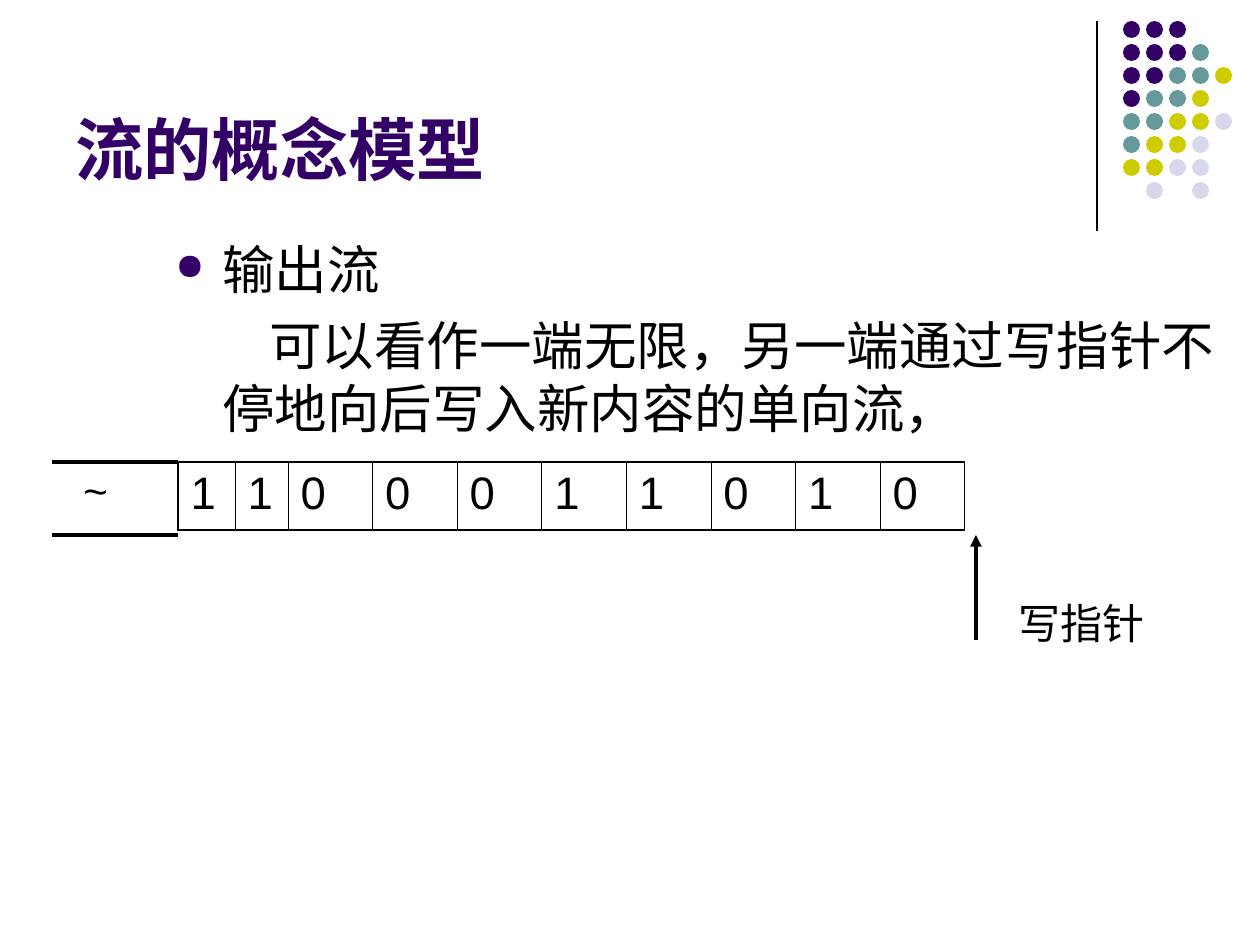
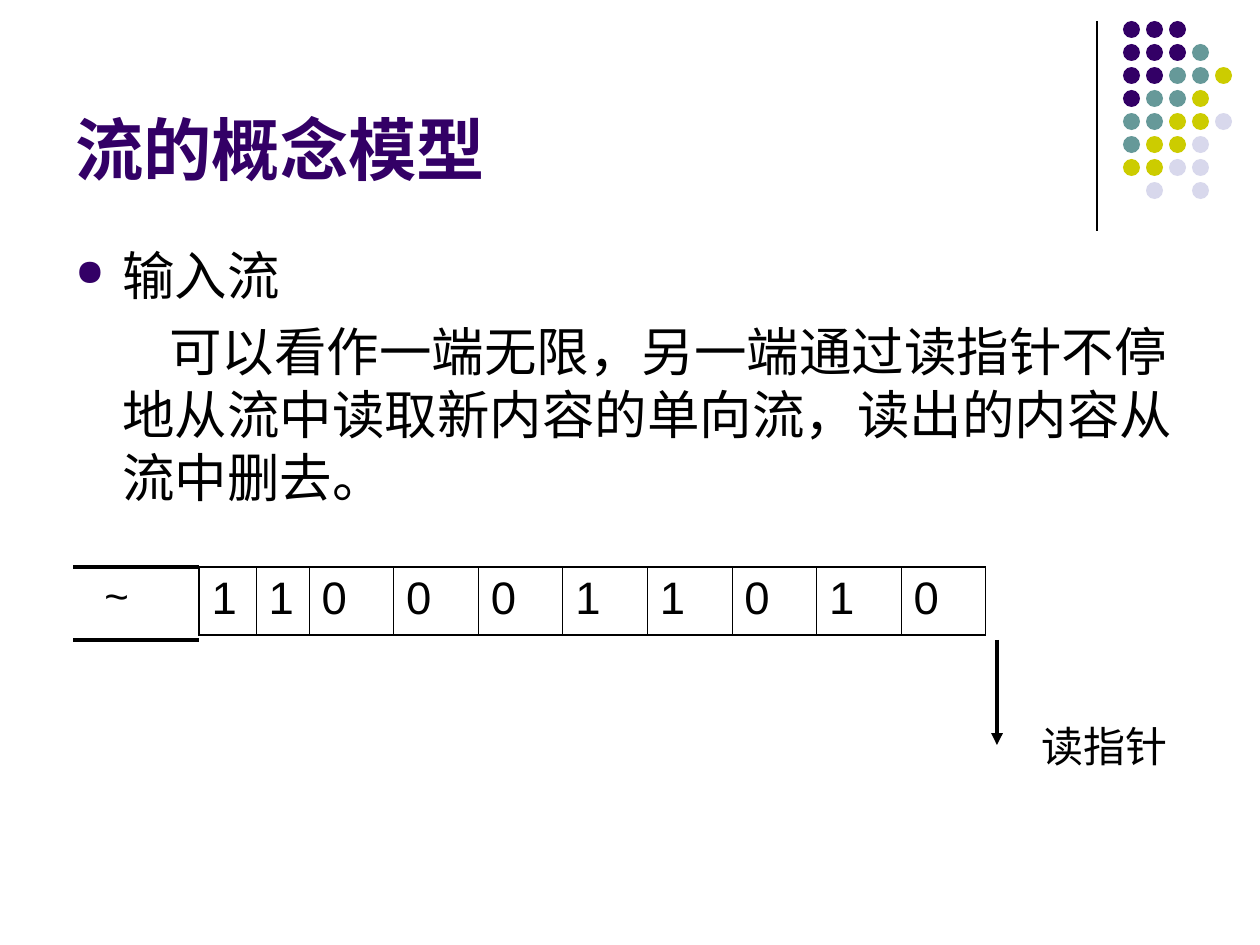
from dataclasses import dataclass

from lxml.etree import SubElement
from pptx import Presentation
from pptx.dml.color import RGBColor
from pptx.enum.shapes import MSO_CONNECTOR as Connector, MSO_SHAPE as Shape
from pptx.enum.text import MSO_ANCHOR as Anchor, MSO_AUTO_SIZE as AutoSize
from pptx.oxml.ns import qn
from pptx.util import Emu, Pt

EMU_PER_PX = 914400 / 126


@dataclass(frozen=True)
class Theme:
    font: str = "Arial"
    purple: str = "330066"
    teal: str = "669999"
    olive: str = "CCCC00"
    lilac: str = "D8D8EC"
    black: str = "000000"
    title_size: int = 39
    body_size: int = 30
    bit_size: int = 26
    label_size: int = 24
    rule: float = 0.75
    rail: float = 2.25
    outer_border: float = 1.08
    inner_border: float = 0.45


THEME = Theme()
DOT_COLORS = {"P": THEME.purple, "T": THEME.teal, "O": THEME.olive, "L": THEME.lilac}
DOT_ROWS = ("PPP", "PPPT", "PPTTO", "PTTO", "TTOOL", "TOOL", "OOLL", " L L")
BITS = "1100011010"
TITLE = "流的概念模型"


@dataclass(frozen=True)
class StreamPage:
    heading: str
    description: str
    body_area: tuple
    tape_origin: tuple
    pointer_label: str
    label_offset: tuple
    pointer_rises: bool


PAGES = (
    StreamPage(
        "输出流",
        "可以看作一端无限，另一端通过写指针不停地向后写入新内容的单向流，",
        (163, 231, 1071, 614), (178, 462), "写指针", (828, 129), True,
    ),
    StreamPage(
        "输入流",
        "可以看作一端无限，另一端通过读指针不停地从流中读取新内容的单向流，"
        "读出的内容从流中删去。",
        (63, 237, 1134, 607), (199, 567), "读指针", (830, 147), False,
    ),
)


def px(length):
    return Emu(round(length * EMU_PER_PX))


def color(code):
    return RGBColor.from_string(code)


def format_paragraph(para, size, ink=THEME.black, bold=False):
    for span in para.runs:
        span.font.name = THEME.font
        span.font.size = Pt(size)
        span.font.bold = bold
        span.font.color.rgb = color(ink)


def add_text(page, area, lines, size, ink=THEME.black, bold=False, wrap=True):
    box = page.shapes.add_textbox(*map(px, area))
    frame = box.text_frame
    frame.text = "\n".join(lines)
    frame.word_wrap = wrap
    frame.auto_size = AutoSize.NONE if wrap else AutoSize.SHAPE_TO_FIT_TEXT
    for para in frame.paragraphs:
        format_paragraph(para, size, ink, bold)
    return frame


def add_line(page, start, end, width, arrow=False):
    line = page.shapes.add_connector(Connector.STRAIGHT, *map(px, (*start, *end)))
    line.line.color.rgb = color(THEME.black)
    line.line.width = Pt(width)
    if arrow:
        SubElement(line.line._get_or_add_ln(), qn("a:tailEnd"), type="triangle")
    SubElement(line._element.spPr, qn("a:effectLst"))


def add_dots(page):
    left, top, pitch, size = 1123, 21, 23, 17
    group = page.shapes.add_group_shape()
    for row, pattern in enumerate(DOT_ROWS):
        for column, key in enumerate(pattern):
            if key not in DOT_COLORS:
                continue
            area = (left + column * pitch, top + row * pitch, size, size)
            dot = group.shapes.add_shape(Shape.OVAL, *map(px, area))
            dot.shadow.inherit = False
            dot.fill.solid()
            dot.fill.fore_color.rgb = color(DOT_COLORS[key])
            dot.line.fill.background()


def add_frame(page):
    add_line(page, (1097, 21), (1097, 231), THEME.rule)
    add_dots(page)
    title = add_text(page, (63, 16, 1040, 179), [TITLE], THEME.title_size, THEME.purple, True)
    title.vertical_anchor = Anchor.BOTTOM


def set_indent(para, margin, first_line):
    properties = para._p.get_or_add_pPr()
    properties.set("marL", str(px(margin)))
    properties.set("indent", str(px(first_line)))
    return properties


def add_body(page, area, heading, description):
    frame = add_text(page, area, [heading, description], THEME.body_size)
    for para, first_line in zip(frame.paragraphs, (-47, 47)):
        para.space_before = Pt(7.5)
        set_indent(para, 47, first_line)
    properties = frame.paragraphs[0]._p.get_or_add_pPr()
    bullet_color = SubElement(properties, qn("a:buClr"))
    SubElement(bullet_color, qn("a:srgbClr"), val=THEME.purple)
    SubElement(properties, qn("a:buSzPct"), val="70000")
    SubElement(properties, qn("a:buChar"), char="●")


def set_borders(cell, widths):
    properties = cell._tc.get_or_add_tcPr()
    for position, (side, width) in enumerate(widths.items()):
        border = properties.makeelement(qn(f"a:ln{side}"), {"w": str(Pt(width))})
        fill = SubElement(border, qn("a:solidFill"))
        SubElement(fill, qn("a:srgbClr"), val=THEME.black)
        properties.insert(position, border)


def add_bits(page, left, top):
    width, height, narrow = 787, 68, (57, 53)
    last = len(BITS) - 1
    graphic = page.shapes.add_table(1, len(BITS), px(left), px(top), px(width), px(height))
    table = graphic.table
    table.first_row = table.horz_banding = False
    wide = px(width - sum(narrow)) // (len(BITS) - len(narrow))
    for index, bit in enumerate(BITS):
        table.columns[index].width = px(narrow[index]) if index < len(narrow) else Emu(wide)
        cell = table.cell(0, index)
        cell.text = bit
        cell.fill.background()
        para = cell.text_frame.paragraphs[0]
        para.space_before = Pt(6.5)
        format_paragraph(para, THEME.bit_size)
        set_borders(cell, {
            "L": THEME.outer_border if index == 0 else THEME.inner_border,
            "R": THEME.outer_border if index == last else THEME.inner_border,
            "T": THEME.outer_border,
            "B": THEME.outer_border,
        })


def add_tape(page, content):
    left, top = content.tape_origin
    rail_gap, rail_length, pointer_length = 73, 126, 105
    add_bits(page, left, top)
    for rail_top in (top, top + rail_gap):
        add_line(page, (left, rail_top), (left - rail_length, rail_top), THEME.rail)
    add_text(page, (left - 107, top - 4, 49, 63), ["~"], THEME.label_size, wrap=False)

    pointer_x, pointer_top = left + 798, top + rail_gap
    start, end = (pointer_x, pointer_top), (pointer_x, pointer_top + pointer_length)
    if content.pointer_rises:
        start, end = end, start
    add_line(page, start, end, THEME.rail, arrow=True)
    shift_x, shift_y = content.label_offset
    label_area = (left + shift_x, top + shift_y, 151, 63)
    add_text(page, label_area, [content.pointer_label], THEME.label_size, wrap=False)


def main():
    deck = Presentation()
    deck.slide_width, deck.slide_height = px(1260), px(945)
    for content in PAGES:
        page = deck.slides.add_slide(deck.slide_layouts[6])
        add_frame(page)
        add_body(page, content.body_area, content.heading, content.description)
        add_tape(page, content)
    deck.save("out.pptx")


if __name__ == "__main__":
    main()
